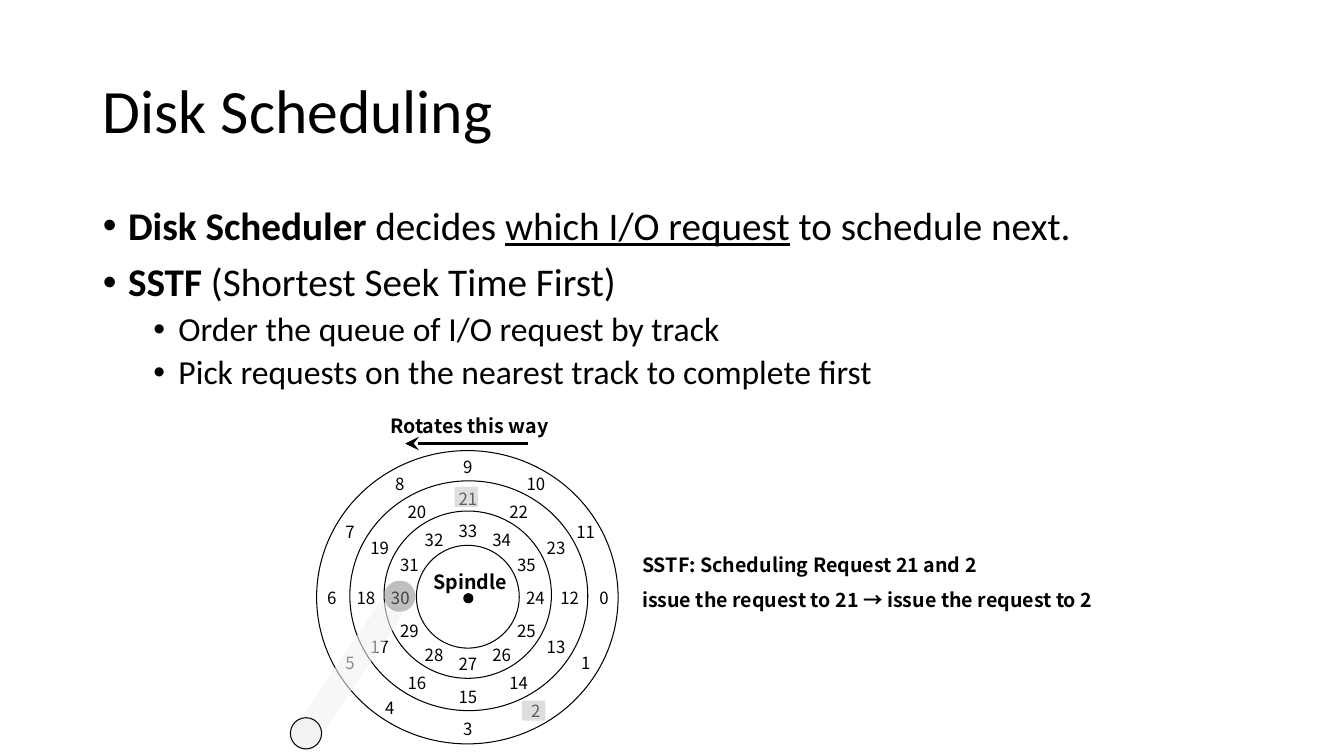
from dataclasses import dataclass
from math import cos, radians, sin

from lxml.etree import SubElement
from pptx import Presentation
from pptx.dml.color import RGBColor
from pptx.enum.shapes import MSO_CONNECTOR, MSO_SHAPE
from pptx.enum.text import MSO_ANCHOR, MSO_AUTO_SIZE, PP_ALIGN
from pptx.oxml.ns import qn
from pptx.util import Inches, Pt


@dataclass(frozen=True)
class Theme:
    ink: RGBColor = RGBColor.from_string("000000")
    arm: RGBColor = RGBColor.from_string("F2F2F2")
    head: RGBColor = RGBColor.from_string("808080")
    request: RGBColor = RGBColor.from_string("BFBFBF")
    text_font: str = "Calibri"
    disk_font: str = "Noto Sans CJK KR"
    title: Pt = Pt(44)
    bullet: Pt = Pt(28)
    sub_bullet: Pt = Pt(24)
    caption: Pt = Pt(14)
    sector: Pt = Pt(12)
    thin: Pt = Pt(0.75)
    arrow: Pt = Pt(1.5)


theme = Theme()


def add_part(shapes, preset, box, fill=None, opacity=100, outlined=False):
    """Add a flat shape; box is left, top, width, height in inches."""
    part = shapes.add_shape(preset, *map(Inches, box))
    part.shadow.inherit = False
    if fill is None:
        part.fill.background()
    else:
        part.fill.solid()
        part.fill.fore_color.rgb = fill
        if opacity < 100:
            color = part.fill._xPr.find(qn("a:solidFill"))[0]
            SubElement(color, qn("a:alpha"), val=str(opacity * 1000))
    if outlined:
        part.line.color.rgb = theme.ink
        part.line.width = theme.thin
    else:
        part.line.fill.background()
    return part


def add_label(shapes, box, lines, size, bold=True, align=PP_ALIGN.CENTER, spacing=None, side=0.1):
    """Add a text box with one paragraph per line; box and side inset in inches."""
    frame = shapes.add_textbox(*map(Inches, box)).text_frame
    frame.word_wrap = True
    frame.margin_left = frame.margin_right = Inches(side)
    frame.text = "\n".join(lines)
    for paragraph in frame.paragraphs:
        paragraph.alignment = align
        paragraph.line_spacing = spacing
        paragraph.font.name = theme.disk_font
        paragraph.font.size = size
        paragraph.font.bold = bold
        paragraph.font.color.rgb = theme.ink


deck = Presentation()
deck.slide_width, deck.slide_height = Inches(13.33), Inches(7.5)
slide = deck.slides.add_slide(deck.slide_layouts[1])

# Title and bullets
title, body = slide.placeholders
title.left, title.top, title.width, title.height = map(Inches, (0.92, 0.4, 11.5, 1.45))
body.left, body.top, body.width, body.height = map(Inches, (0.92, 2, 11.5, 4.76))
title.text_frame.text = "Disk Scheduling"
title.text_frame.vertical_anchor = MSO_ANCHOR.MIDDLE
heading = title.text_frame.paragraphs[0]
heading.alignment = PP_ALIGN.LEFT
heading.line_spacing = 0.9
heading.font.name = theme.text_font
heading.font.size = theme.title
heading.font.color.rgb = theme.ink

bullets = [
    (0, [("Disk Scheduler", "bold"), (" decides ", ""), ("which I/O request", "underline"),
         (" to schedule next.", "")]),
    (0, [("SSTF", "bold"), (" (Shortest Seek Time First)", "")]),
    (1, [("Order the queue of I/O request by track", "")]),
    (1, [("Pick requests on the nearest track to complete first", "")]),
]
body.text_frame.auto_size = MSO_AUTO_SIZE.NONE
for index, (level, pieces) in enumerate(bullets):
    bullet = body.text_frame.paragraphs[0] if index == 0 else body.text_frame.add_paragraph()
    bullet.level = level
    bullet.line_spacing = 0.9
    bullet.space_before = Pt(5 if level else 10)
    properties = bullet._p.get_or_add_pPr()
    properties.set("marL", str(Inches(0.25 + 0.5 * level)))
    properties.set("indent", str(Inches(-0.25)))
    SubElement(properties, qn("a:buFont"), typeface="Arial")
    SubElement(properties, qn("a:buChar"), char="•")
    bullet.font.name = theme.text_font
    bullet.font.size = theme.sub_bullet if level else theme.bullet
    bullet.font.color.rgb = theme.ink
    for text, emphasis in pieces:
        run = bullet.add_run()
        run.text = text
        if emphasis == "bold":
            run.font.bold = True
        elif emphasis == "underline":
            run.font.underline = True

# Disk: track edges, then 12 sectors per track, numbered clockwise from the right
disk = slide.shapes.add_group_shape().shapes
center_x, center_y = 4.64, 5.93
for edge in [(4.13, 5.41, 1.02, 1.02), (3.81, 5.07, 1.66, 1.66),
             (3.47, 4.77, 2.36, 2.28), (3.14, 4.47, 2.99, 2.91)]:
    add_part(disk, MSO_SHAPE.OVAL, edge, outlined=True)

sectors_per_track = 12
sector_width, sector_height = 0.39, 0.3
track_radii = [(1.35, 1.3), (1.01, 0.98), (0.67, 0.66)]
nudges = {4: (-0.1, -0.03)}
for track, (radius_x, radius_y) in enumerate(track_radii):
    for step in range(sectors_per_track):
        sector = track * sectors_per_track + step
        angle = radians(360 / sectors_per_track * step)
        nudge_x, nudge_y = nudges.get(sector, (0, 0))
        left = center_x + radius_x * cos(angle) + nudge_x - sector_width / 2
        top = center_y + radius_y * sin(angle) + nudge_y - sector_height / 2
        add_label(disk, (left, top, sector_width, sector_height), [str(sector)],
                  theme.sector, bold=False, side=0)

add_part(disk, MSO_SHAPE.OVAL, (4.6, 5.89, 0.09, 0.09), theme.ink, outlined=True)
add_label(disk, (4.18, 5.6, 0.97, 0.34), ["Spindle"], theme.caption)

# Rotation direction
add_label(slide.shapes, (3.67, 4.06, 1.97, 0.34), ["Rotates this way"], theme.caption)
rotation = slide.shapes.add_connector(
    MSO_CONNECTOR.STRAIGHT, Inches(5.24), Inches(4.4), Inches(4.02), Inches(4.4))
rotation.line.color.rgb = theme.ink
rotation.line.width = theme.arrow
SubElement(rotation.line._get_or_add_ln(), qn("a:tailEnd"), type="stealth", w="lg", len="lg")
SubElement(rotation._element.spPr, qn("a:effectLst"))

# Arm, head and pivot
arm = add_part(slide.shapes, MSO_SHAPE.ROUNDED_RECTANGLE, (3.29, 5.88, 0.26, 1.67), theme.arm, 58)
arm.rotation = 34.4
add_part(slide.shapes, MSO_SHAPE.OVAL, (3.81, 5.76, 0.31, 0.31), theme.head, 50)
add_part(slide.shapes, MSO_SHAPE.OVAL, (2.88, 7.12, 0.31, 0.31), theme.arm, outlined=True)

# Scheduling note and requested sectors
add_label(slide.shapes, (6.27, 5.32, 4.96, 0.76),
          ["SSTF: Scheduling Request 21 and 2", "issue the request to 21 → issue the request to 2"],
          theme.caption, align=PP_ALIGN.LEFT, spacing=1.5)
for left, top in [(4.51, 4.83), (5.18, 6.95)]:
    add_part(slide.shapes, MSO_SHAPE.RECTANGLE, (left, top, 0.23, 0.2), theme.request, 50)

deck.save("out.pptx")
